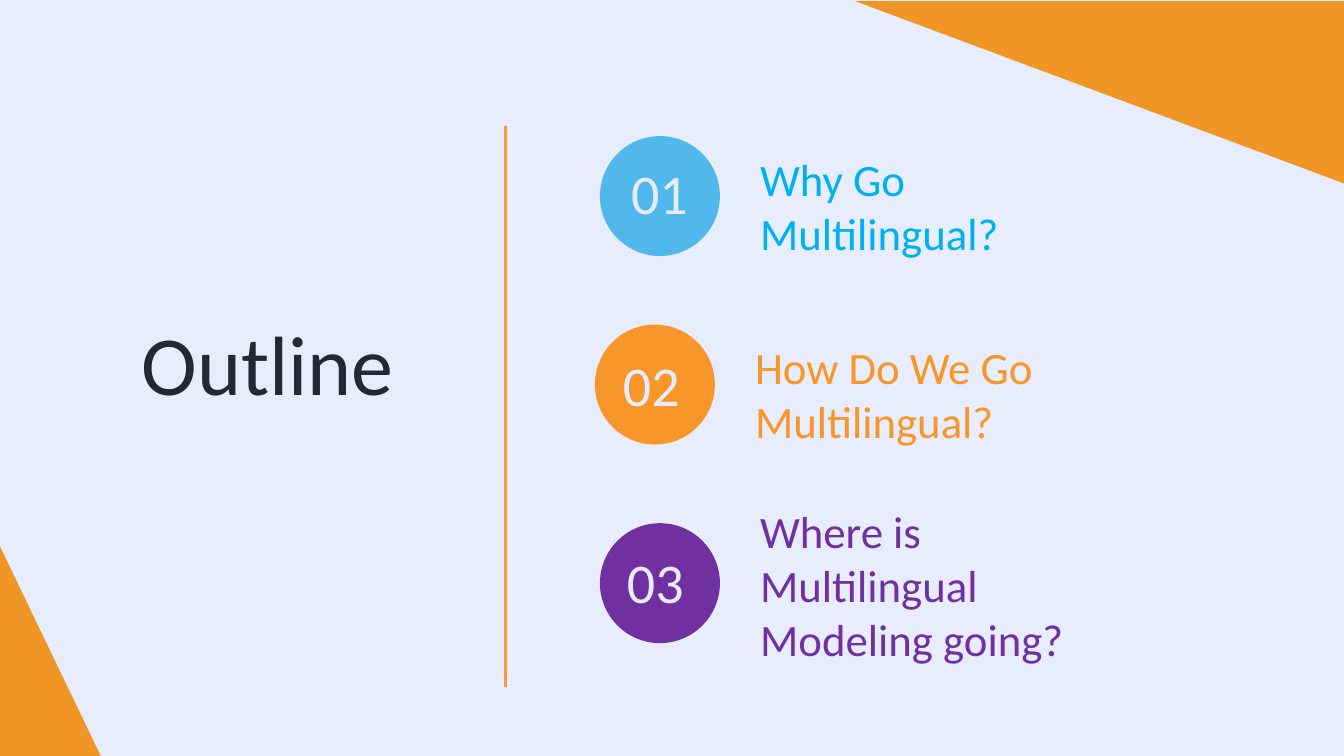
from dataclasses import dataclass

from lxml.etree import SubElement
from pptx import Presentation
from pptx.dml.color import RGBColor
from pptx.enum.shapes import MSO_CONNECTOR as Connector, MSO_SHAPE as Shape
from pptx.enum.text import MSO_ANCHOR as Anchor, MSO_AUTO_SIZE as AutoSize, PP_ALIGN as Align
from pptx.oxml.ns import qn
from pptx.util import Inches, Pt

COLORS = {
    "background": "E7EDFD",
    "corner": "EF9626",
    "divider": "F89A3A",
    "title": "212935",
    "number": "E6ECFC",
    "blue": "51B8EB",
    "cyan": "00B0F0",
    "orange": "F79629",
    "purple": "7030A0",
}
FONT = "Calibri"
CIRCLE_SIZE = 1.19


@dataclass(frozen=True)
class Topic:
    number: str
    text: str
    circle_color: str
    text_color: str
    circle_at: tuple[float, float]
    number_at: tuple[float, float]
    text_box: tuple[float, float, float, float]


TOPICS = [
    Topic("01", "Why Go Multilingual?", "blue", "cyan",
          (5.95, 1.35), (5.95, 1.52), (7.44, 1.46, 3.49, 1.18)),
    Topic("02", "How Do We Go Multilingual?", "orange", "orange",
          (5.9, 3.22), (5.87, 3.43), (7.39, 3.32, 5, 1.18)),
    Topic("03", "Where is Multilingual Modeling going?", "purple", "purple",
          (5.95, 5.19), (5.91, 5.38), (7.44, 4.95, 3.49, 1.72)),
]


def color(name: str) -> RGBColor:
    return RGBColor.from_string(COLORS[name])


def write(box, text: str, *, size: float, fill: str, align=Align.LEFT, spacing: float = 1.0) -> None:
    frame = box.text_frame
    frame.word_wrap = True
    para = frame.paragraphs[0]
    para.alignment = align
    para.line_spacing = spacing
    span = para.add_run()
    span.text = text
    span.font.name = FONT
    span.font.size = Pt(size)
    span.font.color.rgb = color(fill)


def add_filled(page, kind, left: float, top: float, width: float, height: float,
               fill: str, rotation: float = 0) -> None:
    shape = page.shapes.add_shape(kind, Inches(left), Inches(top), Inches(width), Inches(height))
    shape.rotation = rotation
    shape.shadow.inherit = False
    shape.fill.solid()
    shape.fill.fore_color.rgb = color(fill)
    shape.line.fill.background()


def add_title(page, text: str) -> None:
    title = page.shapes.title
    title.left, title.top = Inches(-0.18), Inches(3.11)
    title.width, title.height = Inches(5.67), Inches(0.99)
    frame = title.text_frame
    frame.auto_size = AutoSize.NONE
    frame.vertical_anchor = Anchor.BOTTOM
    frame.margin_left = frame.margin_right = frame.margin_top = frame.margin_bottom = 0
    write(title, text, size=60, fill="title", align=Align.CENTER, spacing=0.9)


def add_divider(page, left: float, top: float, bottom: float) -> None:
    line = page.shapes.add_connector(
        Connector.STRAIGHT, Inches(left), Inches(top), Inches(left), Inches(bottom))
    line.line.color.rgb = color("divider")
    line.line.width = Pt(2.25)
    SubElement(line._element.spPr, qn("a:effectLst"))


def add_topic(page, topic: Topic) -> None:
    add_filled(page, Shape.OVAL, *topic.circle_at, CIRCLE_SIZE, CIRCLE_SIZE, topic.circle_color)
    number = page.shapes.add_textbox(*map(Inches, (*topic.number_at, 1.18, 0.77)))
    write(number, topic.number, size=40, fill="number", align=Align.CENTER)
    label = page.shapes.add_textbox(*map(Inches, topic.text_box))
    write(label, topic.text, size=32, fill=topic.text_color)


def main() -> None:
    deck = Presentation()
    deck.slide_width, deck.slide_height = Inches(13.33), Inches(7.5)
    page = deck.slides.add_slide(deck.slide_layouts.get_by_name("Title Only"))
    page.background.fill.solid()
    page.background.fill.fore_color.rgb = color("background")

    # Corner triangles
    add_filled(page, Shape.RIGHT_TRIANGLE, 0, 5.42, 1, 2.08, "corner")
    add_filled(page, Shape.RIGHT_TRIANGLE, 8.48, 0.01, 4.85, 1.81, "corner", rotation=180)

    # Title and divider
    add_title(page, "Outline")
    add_divider(page, 5.01, 1.25, 6.82)

    # Numbered topics
    for topic in TOPICS:
        add_topic(page, topic)

    deck.save("out.pptx")


if __name__ == "__main__":
    main()
